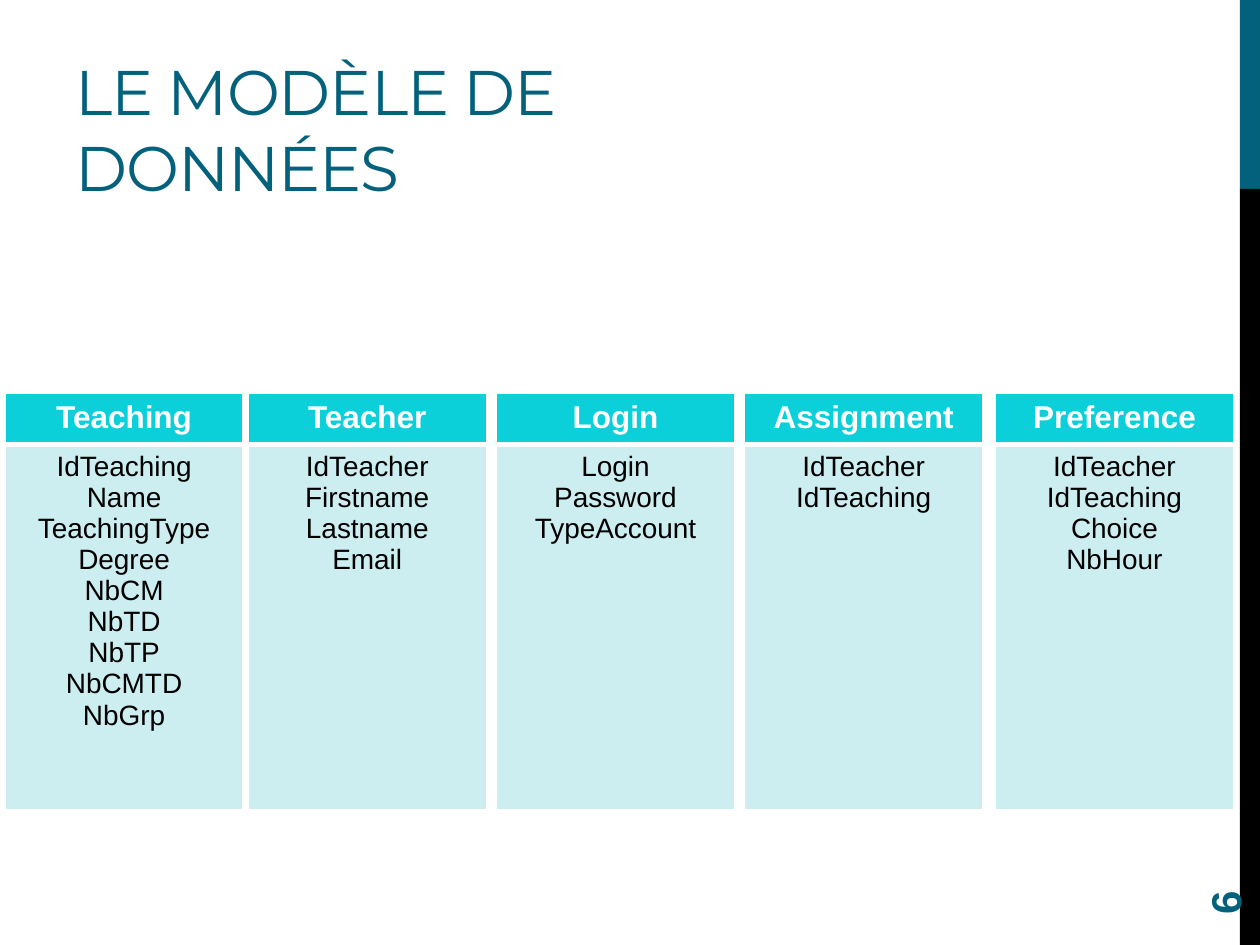
"""Build the data model slide: a title, five entity tables and a side band."""
from lxml import etree
from pptx import Presentation
from pptx.dml.color import RGBColor
from pptx.enum import shapes, text
from pptx.oxml import ns
from pptx.util import Inches, Pt

COLORS = {"teal": "04617B", "black": "000000", "white": "FFFFFF",
          "header": "0BD0D9", "body": "CCEEF1"}
ENTITIES = [
    (0.04, "Teaching", ["IdTeaching", "Name", "TeachingType", "Degree", "NbCM",
                        "NbTD", "NbTP", "NbCMTD", "NbGrp"]),
    (1.97, "Teacher", ["IdTeacher", "Firstname", "Lastname", "Email"]),
    (3.94, "Login", ["Login", "Password", "TypeAccount"]),
    (5.91, "Assignment", ["IdTeacher", "IdTeaching"]),
    (7.9, "Preference", ["IdTeacher", "IdTeaching", "Choice", "NbHour"]),
]


def style_text(para, size, color, bold=False, font="Arial"):
    para.font.name = font
    para.font.size = Pt(size)
    para.font.bold = bold
    para.font.color.rgb = RGBColor.from_string(COLORS[color])


def fill_cell(cell, lines, size, color, bold, fill, borders):
    cell.text = "\n".join(lines)
    for para in cell.text_frame.paragraphs:
        para.alignment = text.PP_ALIGN.CENTER
        style_text(para, size, color, bold)
    props = cell._tc.get_or_add_tcPr()
    for side, width in borders.items():
        line = etree.SubElement(props, ns.qn(f"a:{side}"), w=str(Pt(width)))
        solid = etree.SubElement(line, ns.qn("a:solidFill"))
        etree.SubElement(solid, ns.qn("a:srgbClr"), val=COLORS["white"])
    cell.fill.solid()
    cell.fill.fore_color.rgb = RGBColor.from_string(COLORS[fill])


deck = Presentation()
deck.slide_width, deck.slide_height = Inches(10), Inches(7.5)
page = deck.slides.add_slide(deck.slide_layouts[6])

for top, height, color in [(0, 1.5, "teal"), (1.5, 6, "black")]:
    band = page.shapes.add_shape(shapes.MSO_SHAPE.RECTANGLE, Inches(9.84),
                                 Inches(top), Inches(0.16), Inches(height))
    band.shadow.inherit = False
    band.fill.solid()
    band.fill.fore_color.rgb = RGBColor.from_string(COLORS[color])
    band.line.fill.background()

title = page.shapes.add_textbox(Inches(0.5), Inches(0.17), Inches(6.33), Inches(1.5))
title.text_frame.word_wrap = True
title.text_frame.vertical_anchor = text.MSO_ANCHOR.BOTTOM
para = title.text_frame.paragraphs[0]
span = para.add_run()
span.text = "LE MODÈLE DE DONNÉES"
span._r.get_or_add_rPr().set("spc", "-60")
style_text(para, 36, "teal", font="Montserrat")

thin = {"lnL": 1, "lnR": 1, "lnT": 1, "lnB": 1}
for left, name, fields in ENTITIES:
    table = page.shapes.add_table(2, 1, Inches(left), Inches(3.12),
                                  Inches(1.89), Inches(3.31)).table
    table.rows[0].height = Inches(0.41)
    table.rows[1].height = Inches(2.9)
    fill_cell(table.cell(0, 0), [name], 18, "white", True, "header", {**thin, "lnB": 3})
    fill_cell(table.cell(1, 0), fields, 16, "black", False, "body", {**thin, "lnT": 3})

number = page.shapes.add_textbox(Inches(9), Inches(6.44), Inches(1.44), Inches(0.4))
number.rotation = 270
number.text_frame.word_wrap = True
number.text_frame.vertical_anchor = text.MSO_ANCHOR.MIDDLE
number.text_frame.text = "6"
style_text(number.text_frame.paragraphs[0], 24, "teal", True)

deck.save("out.pptx")
